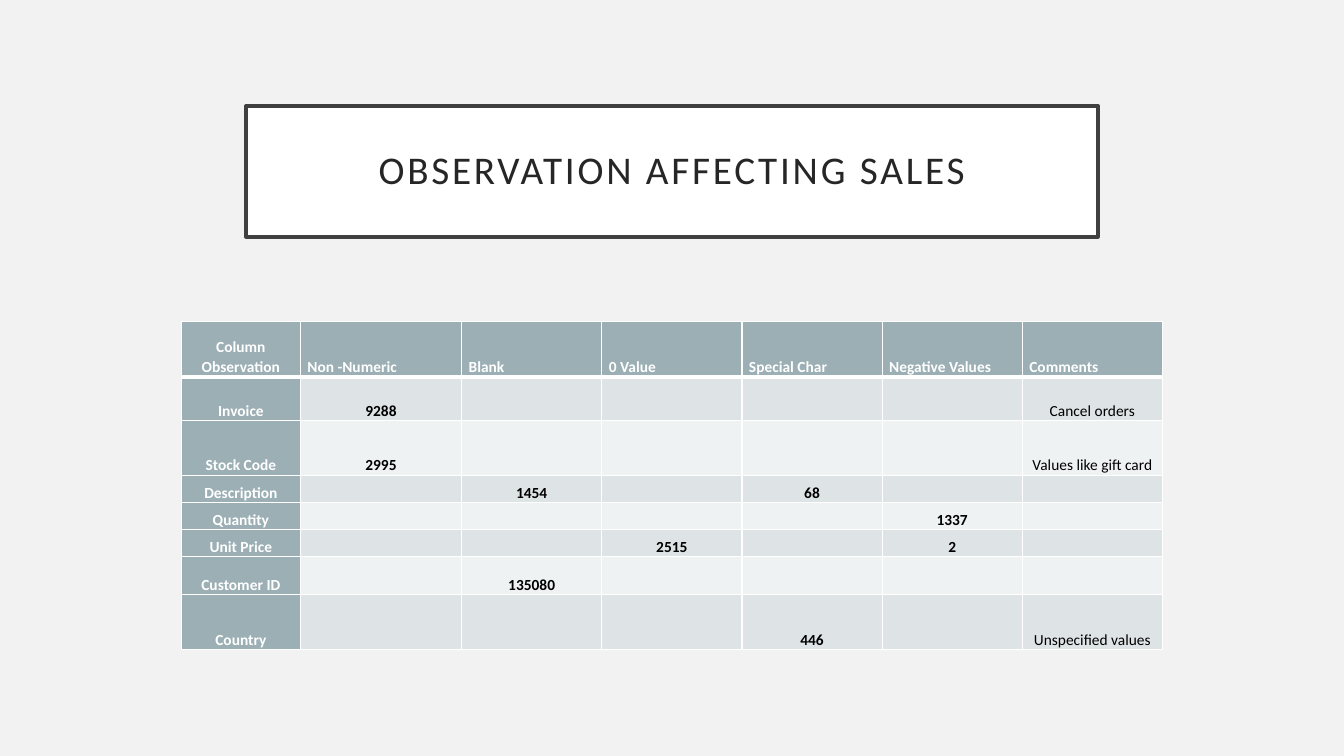
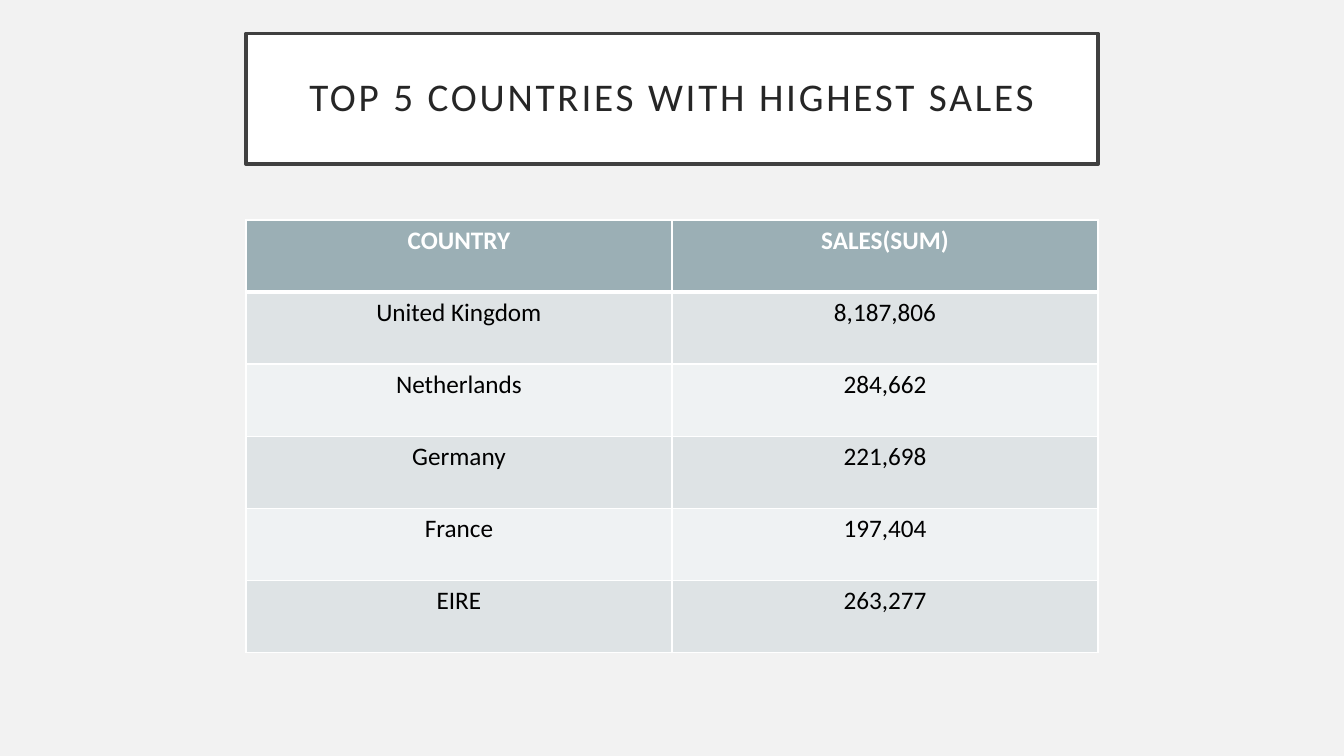
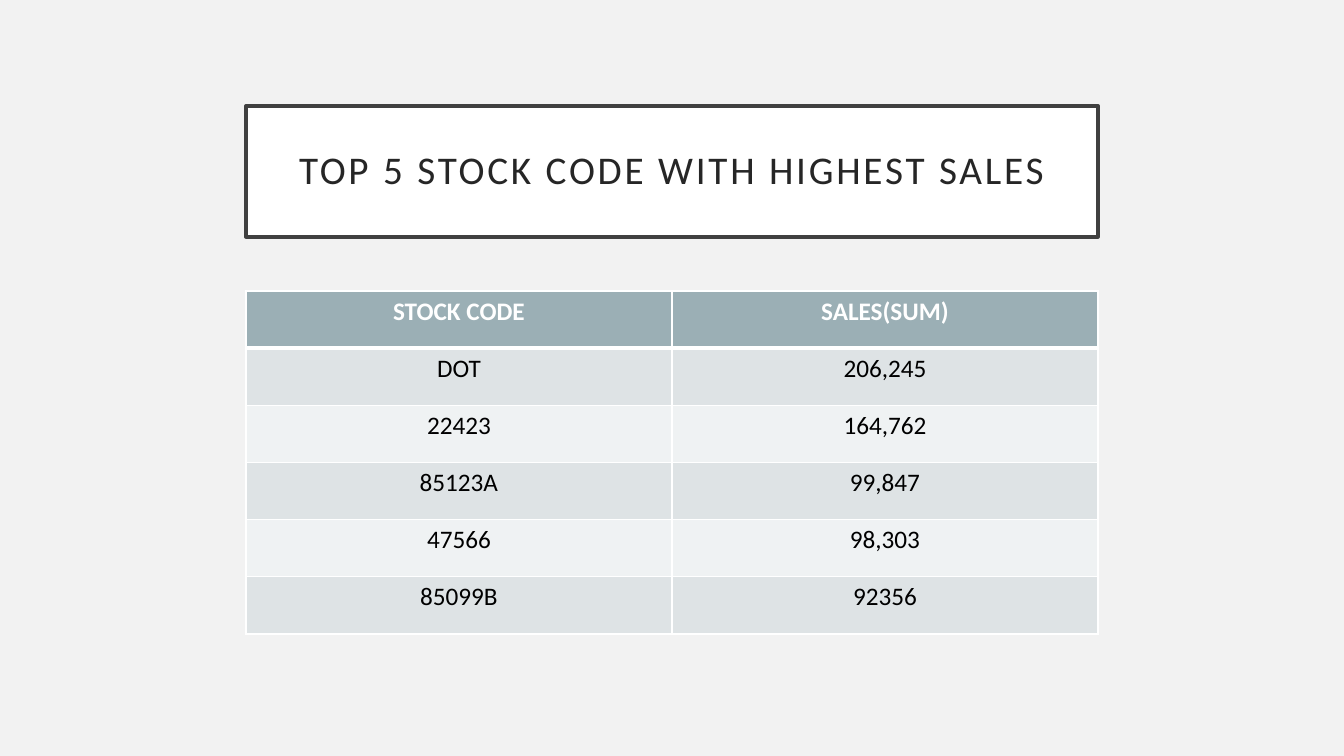
from dataclasses import dataclass

import lxml.etree
import pptx
import pptx.dml.color
import pptx.enum.shapes
import pptx.enum.text
import pptx.oxml.ns
import pptx.util

ALIGN = pptx.enum.text.PP_ALIGN
ANCHOR = pptx.enum.text.MSO_ANCHOR
FONT = "Calibri"
PAGE_WIDTH, PAGE_HEIGHT = 13.333, 7.5
PAPER, WHITE, BLACK = "F2F2F2", "FFFFFF", "000000"
FRAME, TITLE_INK = "404040", "262626"
HEADING, BAND_DARK, BAND_LIGHT = "9BAFB5", "DEE3E5", "EFF2F3"
BODY_LEFT, BODY_WIDTH = 18.3, 63.4
TITLE_TOP, TITLE_TOP_HIGH, TITLE_HEIGHT = 14.0, 4.4, 17.33


@dataclass(frozen=True)
class TableStyle:
    size: float
    anchor: ANCHOR
    side_margin: float
    end_margin: float
    line_spacing: float = 1.0
    space_after: float = 0
    row_headings: bool = False


DENSE = TableStyle(11, ANCHOR.BOTTOM, 0.07, 0, 1.07, 8, row_headings=True)
ROOMY = TableStyle(18, ANCHOR.TOP, 0.1, 0.05)


@dataclass(frozen=True)
class TablePage:
    title: str
    title_top: float
    left: float
    top: float
    columns: list[float]
    rows: list[float]
    texts: list[list[str]]
    style: TableStyle


def across(percent: float) -> int:
    return pptx.util.Inches(PAGE_WIDTH * percent / 100)


def down(percent: float) -> int:
    return pptx.util.Inches(PAGE_HEIGHT * percent / 100)


def color(value: str) -> pptx.dml.color.RGBColor:
    return pptx.dml.color.RGBColor.from_string(value)


def paint(fill, value: str) -> None:
    fill.solid()
    fill.fore_color.rgb = color(value)


def write(frame, text: str, *, size: float, ink: str, bold: bool = False,
          align=ALIGN.CENTER, line_spacing: float = 1.0,
          space_after: float = 0, tracking: float = 0) -> None:
    para = frame.paragraphs[0]
    para.alignment = align
    para.line_spacing = line_spacing
    para.space_after = pptx.util.Pt(space_after)
    if not text:
        lxml.etree.SubElement(para._p, pptx.oxml.ns.qn("a:endParaRPr"),
                              sz=str(int(size * 100)))
        return
    span = para.add_run()
    span.text = text
    span.font.name = FONT
    span.font.size = pptx.util.Pt(size)
    span.font.bold = bold
    span.font.color.rgb = color(ink)
    if tracking:
        span.font._element.set("spc", str(int(tracking * 100)))


def draw_title(page, text: str, top: float) -> None:
    box = page.shapes.add_shape(
        pptx.enum.shapes.MSO_SHAPE.RECTANGLE,
        across(BODY_LEFT), down(top), across(BODY_WIDTH), down(TITLE_HEIGHT))
    box.shadow.inherit = False
    paint(box.fill, WHITE)
    box.line.color.rgb = color(FRAME)
    box.line.width = pptx.util.Pt(2.5)
    frame = box.text_frame
    frame.word_wrap = True
    frame.vertical_anchor = ANCHOR.MIDDLE
    inset = pptx.util.Inches(0.2)
    frame.margin_left = frame.margin_right = inset
    frame.margin_top = frame.margin_bottom = inset
    write(frame, text, size=28, ink=TITLE_INK, line_spacing=0.9, tracking=2)


def draw_borders(cell, row: int) -> None:
    widths = {"L": 1, "R": 1, "T": 3 if row == 1 else 1, "B": 3 if row == 0 else 1}
    qn = pptx.oxml.ns.qn
    properties = cell._tc.get_or_add_tcPr()
    for side, width in widths.items():
        line = lxml.etree.SubElement(properties, qn(f"a:ln{side}"),
                                     w=str(pptx.util.Pt(width)))
        solid = lxml.etree.SubElement(line, qn("a:solidFill"))
        lxml.etree.SubElement(solid, qn("a:srgbClr"), val=WHITE)


def draw_cell(cell, text: str, row: int, column: int, style: TableStyle) -> None:
    heading = row == 0 or (style.row_headings and column == 0)
    banded = BAND_DARK if row % 2 else BAND_LIGHT
    draw_borders(cell, row)
    paint(cell.fill, HEADING if heading else banded)
    cell.vertical_anchor = style.anchor
    cell.margin_left = cell.margin_right = pptx.util.Inches(style.side_margin)
    cell.margin_top = cell.margin_bottom = pptx.util.Inches(style.end_margin)
    left_aligned = style.row_headings and row == 0 and column > 0
    write(cell.text_frame, text, size=style.size,
          ink=WHITE if heading else BLACK,
          bold=heading or (style.row_headings and text.isdigit()),
          align=ALIGN.LEFT if left_aligned else ALIGN.CENTER,
          line_spacing=style.line_spacing, space_after=style.space_after)


def draw_table(page, content: TablePage) -> None:
    table = page.shapes.add_table(
        len(content.rows), len(content.columns),
        across(content.left), down(content.top),
        across(sum(content.columns)), down(sum(content.rows))).table
    for column, width in zip(table.columns, content.columns):
        column.width = across(width)
    for row, height in zip(table.rows, content.rows):
        row.height = down(height)
    for row, texts in enumerate(content.texts):
        for column, text in enumerate(texts):
            draw_cell(table.cell(row, column), text, row, column, content.style)


PAGES = [
    TablePage(
        "OBSERVATION AFFECTING SALES", TITLE_TOP, 13.5, 42.5,
        [8.85, 12] + [10.43] * 5,
        [7.4, 5.7, 7.27, 3.6, 3.6, 3.6, 5.03, 7.27],
        [
            ["Column Observation", "Non -Numeric", "Blank", "0 Value",
             "Special Char", "Negative Values", "Comments"],
            ["Invoice", "9288", "", "", "", "", "Cancel orders"],
            ["Stock Code", "2995", "", "", "", "", "Values like gift card"],
            ["Description", "", "1454", "", "68", "", ""],
            ["Quantity", "", "", "", "", "1337", ""],
            ["Unit Price", "", "", "2515", "", "2", ""],
            ["Customer ID", "", "135080", "", "", "", ""],
            ["Country", "", "", "", "446", "", "Unspecified values"],
        ], DENSE),
    TablePage(
        "TOP 5 COUNTRIES WITH HIGHEST SALES", TITLE_TOP_HIGH, BODY_LEFT, 29.1,
        [BODY_WIDTH / 2] * 2, [9.53] * 6,
        [
            ["COUNTRY", "SALES(SUM)"],
            ["United Kingdom", "8,187,806"],
            ["Netherlands", "284,662"],
            ["Germany", "221,698"],
            ["France", "197,404"],
            ["EIRE", "263,277"],
        ], ROOMY),
    TablePage(
        "TOP 5 STOCK CODE WITH HIGHEST SALES", TITLE_TOP, BODY_LEFT, 38.5,
        [BODY_WIDTH / 2] * 2, [7.56] * 6,
        [
            ["STOCK CODE", "SALES(SUM)"],
            ["DOT", "206,245"],
            ["22423", "164,762"],
            ["85123A", "99,847"],
            ["47566", "98,303"],
            ["85099B", "92356"],
        ], ROOMY),
]


def main() -> None:
    deck = pptx.Presentation()
    deck.slide_width = across(100)
    deck.slide_height = down(100)
    paint(deck.slide_master.background.fill, PAPER)
    for content in PAGES:
        page = deck.slides.add_slide(deck.slide_layouts[6])
        draw_title(page, content.title, content.title_top)
        draw_table(page, content)
    deck.save("out.pptx")


if __name__ == "__main__":
    main()
